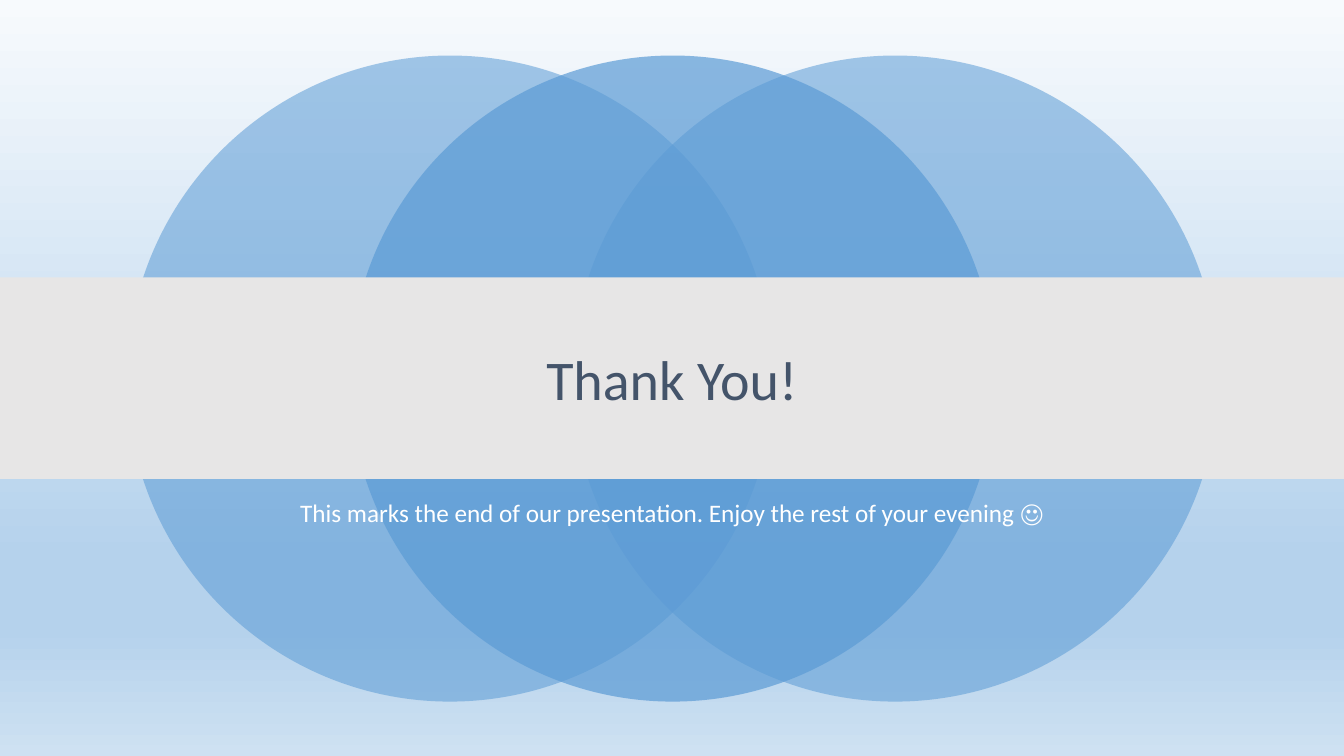
from lxml import etree
from pptx import Presentation
from pptx.dml.color import RGBColor
from pptx.enum.shapes import MSO_SHAPE
from pptx.enum.text import MSO_ANCHOR, PP_ALIGN
from pptx.oxml.ns import qn
from pptx.util import Cm, Pt

OVAL, RECT = MSO_SHAPE.OVAL, MSO_SHAPE.RECTANGLE
TOP, MIDDLE = MSO_ANCHOR.TOP, MSO_ANCHOR.MIDDLE
CENTER = PP_ALIGN.CENTER

WIDTH, HEIGHT = Cm(33.87), Cm(19.05)
BLUE, GRAY, NAVY, WHITE = "5B9BD5", "E7E6E6", "44546A", "FFFFFF"
SKY = [(0, "F7FAFD"), (74, "B5D2EC"), (83, "B5D2EC"), (100, "CEE1F2")]


def color(value):
    return RGBColor.from_string(value)


def add_sky(slide, stops):
    """Fill the background with a gradient that runs downward."""
    fill = slide.background.fill
    fill.gradient()
    grad = next(slide.element.iter(qn("a:gradFill")))
    items = grad.find(qn("a:gsLst"))
    for old in list(items):
        items.remove(old)
    for place, value in stops:
        stop = etree.SubElement(items, qn("a:gs"), pos=str(place * 1000))
        etree.SubElement(stop, qn("a:srgbClr"), val=value)
    grad.find(qn("a:lin")).set("ang", "5400000")


def add_form(slide, kind, left, top, width, height, fill, alpha=100):
    form = slide.shapes.add_shape(kind, left, top, width, height)
    form.shadow.inherit = False
    form.line.fill.background()
    form.fill.solid()
    form.fill.fore_color.rgb = color(fill)
    if alpha < 100:
        tone = form.fill._xPr.find(qn("a:solidFill"))[0]
        etree.SubElement(tone, qn("a:alpha"), val=str(alpha * 1000))
    return form


def set_text(shape, text, size, fill, anchor=TOP):
    frame = shape.text_frame
    frame.word_wrap = True
    frame.vertical_anchor = anchor
    frame.text = text
    line = frame.paragraphs[0]
    line.alignment = CENTER
    line.line_spacing = 0.9
    line.space_before = Pt(0)
    font = line.runs[0].font
    font.name = "Calibri"
    font.size = Pt(size)
    font.color.rgb = color(fill)


def main():
    deck = Presentation()
    deck.slide_width, deck.slide_height = WIDTH, HEIGHT
    slide = deck.slides.add_slide(deck.slide_layouts[5])
    add_sky(slide, SKY)

    # Overlapping circles, the middle one in front
    size = Cm(16.28)
    for step, alpha in ((0, 55), (2, 55), (1, 70)):
        left = Cm(3.2 + 5.61 * step)
        add_form(slide, OVAL, left, Cm(1.4), size, size, BLUE, alpha)

    # Closing line
    left, width = Cm(4.23), Cm(25.4)
    note = slide.shapes.add_textbox(left, Cm(12.5), width, Cm(2.11))
    set_text(note, "This marks the end of our presentation. "
             "Enjoy the rest of your evening ☺", 18, WHITE)

    # Band with the title in front of it
    band = add_form(slide, RECT, 0, Cm(6.99), WIDTH, Cm(5.08), GRAY)
    title = slide.shapes.title
    title.left, title.top = left, Cm(7.72)
    title.width, title.height = width, Cm(3.84)
    set_text(title, "Thank You!", 40, NAVY, MIDDLE)
    band.element.addnext(title.element)

    deck.save("out.pptx")


if __name__ == "__main__":
    main()
